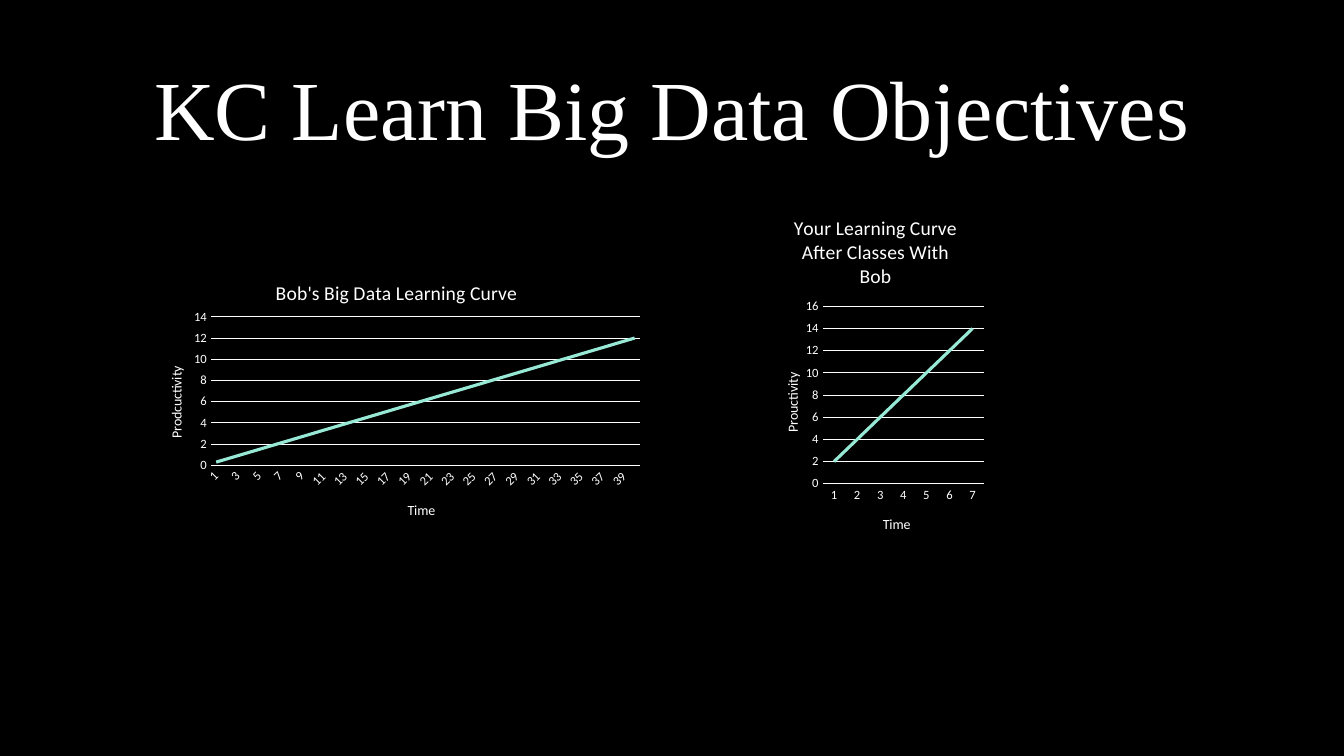
from lxml.etree import SubElement
from pptx import Presentation
from pptx.chart.data import CategoryChartData
from pptx.dml.color import RGBColor
from pptx.enum.chart import XL_CHART_TYPE, XL_TICK_MARK
from pptx.enum.text import MSO_ANCHOR, PP_ALIGN
from pptx.oxml.ns import qn
from pptx.util import Cm, Pt

COLORS = {"background": "000000", "text": "FFFFFF", "curve": "97E9D5"}


def rgb(name):
    return RGBColor.from_string(COLORS[name])


def style_font(font, size, name="Calibri"):
    font.name, font.size, font.bold = name, Pt(size), False
    font.color.rgb = rgb("text")


def style_line(line, color, width):
    line.color.rgb = rgb(color)
    line.width = Pt(width)


def set_layout(parent, index, **fractions):
    """Place a chart part by fractions (x, y, w, h) of the chart's size."""
    for old in parent.findall(qn("c:layout")):
        parent.remove(old)
    layout = SubElement(parent, qn("c:layout"))
    parent.insert(index, layout)
    manual = SubElement(layout, qn("c:manualLayout"))
    if "w" in fractions:
        SubElement(manual, qn("c:layoutTarget")).set("val", "inner")
    for key in ("x", "y"):
        SubElement(manual, qn(f"c:{key}Mode")).set("val", "edge")
    for key, value in fractions.items():
        SubElement(manual, qn(f"c:{key}")).set("val", str(value))


def rotate_text(element, degrees):
    body = next(element.iter(qn("a:bodyPr")))
    body.set("rot", str(degrees * 60000))
    body.set("vert", "horz")


def set_title(owner, text, size, x, y):
    """Give a chart or an axis its title."""
    owner.has_title = True
    title = owner.chart_title if hasattr(owner, "chart_title") else owner.axis_title
    p = title.text_frame.paragraphs[0]
    p.text = text
    style_font(p.font, size)
    set_layout(title._element, 1, x=x, y=y)
    return title


def add_slide_title(slide, text):
    sp = slide.shapes.title
    sp.left, sp.top, sp.width, sp.height = Cm(2.33), Cm(1.01), Cm(29.21), Cm(3.68)
    tf = sp.text_frame
    tf.text = text
    tf.vertical_anchor = MSO_ANCHOR.MIDDLE
    p = tf.paragraphs[0]
    p.alignment, p.line_spacing = PP_ALIGN.CENTER, 0.9
    style_font(p.font, 60, "Times New Roman")


def add_learning_curve(slide, box, values, plot, titles, label_angle=0):
    """Add a line chart; titles holds (text, x, y) for chart, time and value axis."""
    data = CategoryChartData()
    data.categories = [str(i) for i in range(1, len(values) + 1)]
    data.add_series("Series 1", values)
    chart = slide.shapes.add_chart(
        XL_CHART_TYPE.LINE, *(Cm(n) for n in box), data).chart
    chart.has_legend = False
    style_font(chart.font, 10)

    series = chart.plots[0].series[0]
    series.smooth = False
    style_line(series.format.line, "curve", 2.25)

    time, value = chart.category_axis, chart.value_axis
    for axis in (time, value):
        axis.major_tick_mark = axis.minor_tick_mark = XL_TICK_MARK.NONE
        style_font(axis.tick_labels.font, 9)
    style_line(time.format.line, "text", 0.75)
    value.format.line.fill.background()
    value.has_major_gridlines = True
    style_line(value.major_gridlines.format.line, "text", 0.75)

    chart_title, time_title, value_title = titles
    set_title(chart, chart_title[0], 14, *chart_title[1:])
    set_title(time, time_title[0], 10, *time_title[1:])
    title = set_title(value, value_title[0], 10, *value_title[1:])
    rotate_text(title._element, -90)
    if label_angle:
        rotate_text(time._element.find(qn("c:txPr")), label_angle)

    x, y, w, h = plot
    plot_area = chart._chartSpace.find(qn("c:chart")).find(qn("c:plotArea"))
    set_layout(plot_area, 0, x=x, y=y, w=w, h=h)


def main():
    prs = Presentation()
    prs.slide_width, prs.slide_height = Cm(33.87), Cm(19.05)
    slide = prs.slides.add_slide(prs.slide_layouts[5])
    fill = slide.background.fill
    fill.solid()
    fill.fore_color.rgb = rgb("background")

    add_slide_title(slide, "KC Learn Big Data Objectives")
    add_learning_curve(
        slide, (3.51, 6.53, 12.88, 6.93),
        [round(0.3 * i, 1) for i in range(1, 41)],
        plot=(0.14, 0.21, 0.84, 0.54),
        titles=[("Bob's Big Data Learning Curve", 0.26, 0.06),
                ("Time", 0.52, 0.87), ("Prodcuctivity", 0.05, 0.38)],
        label_angle=-45)
    add_learning_curve(
        slide, (19.1, 4.95, 5.82, 8.94),
        list(range(2, 15, 2)),
        plot=(0.28, 0.31, 0.7, 0.5),
        titles=[("Your Learning Curve After Classes With Bob", 0.14, 0.04),
                ("Time", 0.53, 0.89), ("Prouctivity", 0.1, 0.49)])
    prs.save("out.pptx")


if __name__ == "__main__":
    main()
